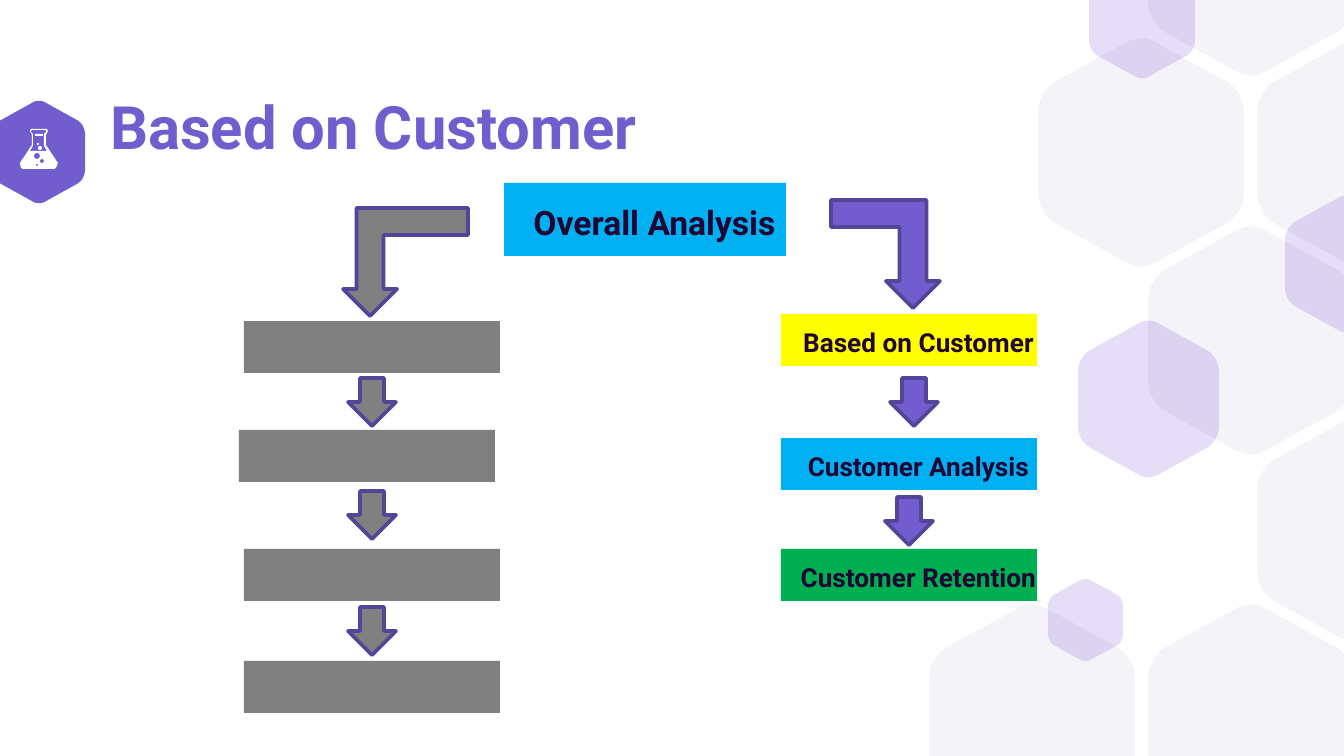
from math import cos, pi, sin

from lxml.etree import SubElement
from pptx import Presentation
from pptx.dml.color import RGBColor
from pptx.enum.shapes import MSO_SHAPE
from pptx.enum.text import MSO_ANCHOR, MSO_AUTO_SIZE, PP_ALIGN
from pptx.oxml.ns import qn
from pptx.util import Pt

PX = 914400 / 134.4
W, H = 1344, 756
PURPLE = RGBColor(0x72, 0x5D, 0xCF)
OUTLINE = RGBColor(0x54, 0x45, 0x99)
VIOLET = RGBColor(0x53, 0x22, 0xC9)
PALE = RGBColor(0xF4, 0xF3, 0xF8)
INK = RGBColor(0x21, 0x06, 0x35)
GREY = RGBColor(0x80, 0x80, 0x80)
BLUE = RGBColor(0x00, 0xB0, 0xF0)
YELLOW = RGBColor(0xFF, 0xFF, 0x00)
GREEN = RGBColor(0x00, 0xB0, 0x50)
WHITE = RGBColor(0xFF, 0xFF, 0xFF)

prs = Presentation()
prs.slide_width, prs.slide_height = round(W * PX), round(H * PX)
s = prs.slides.add_slide(prs.slide_layouts[5])


def add_outline(contours, fill):
    fb = None
    for contour in contours:
        pts = [(round(x * PX), round(y * PX)) for x, y in contour]
        if fb is None:
            fb = s.shapes.build_freeform(*pts[0])
        else:
            fb.move_to(*pts[0])
        fb.add_line_segments(pts[1:], close=True)
    sp = fb.convert_to_shape()
    sp.shadow.inherit = False
    sp.fill.solid()
    sp.fill.fore_color.rgb = fill
    sp.line.fill.background()
    return sp


def write(tf, text, size, color, align, spacing):
    for name, value in {"margin_left": 0, "margin_top": 0, "margin_right": 0,
                        "margin_bottom": 0, "word_wrap": True,
                        "auto_size": MSO_AUTO_SIZE.NONE,
                        "vertical_anchor": MSO_ANCHOR.MIDDLE}.items():
        setattr(tf, name, value)
    p = tf.paragraphs[0]
    p.alignment, p.line_spacing = align, spacing
    r = p.add_run()
    r.text = text
    for name, value in {"name": "Roboto", "size": Pt(size), "bold": True}.items():
        setattr(r.font, name, value)
    r.font.color.rgb = color
    return p


corners = [
    [(1, 0.33), (1, 0.27), (0.97, 0.22), (0.92, 0.19)],
    [(0.58, 0.02), (0.53, -0.01), (0.47, -0.01), (0.42, 0.02)],
    [(0.08, 0.19), (0.03, 0.22), (0, 0.27), (0, 0.33)],
]
corners += [[(1 - x, 1 - y) for x, y in corner] for corner in corners]
hexagon = []
for a, b, c, d in corners:
    for i in range(9):
        t = i / 8
        u = 1 - t
        hexagon.append(tuple(u**3 * a[k] + 3 * u * u * t * b[k] + 3 * u * t * t * c[k]
                             + t**3 * d[k] for k in (0, 1)))

pale_spots = [(929, 605), (1148, 605), (1257, 39), (1148, -152),
              (1148, 227), (1038, 39), (1257, 417)]
hexagons = [(-7, 101, 92, 102, PURPLE, 100)]
hexagons += [(x, y, 206, 227, PALE, 100) for x, y in pale_spots]
hexagons += [(x, y, w, h, VIOLET, 15) for x, y, w, h in [
    (1285, 196, 123, 136), (1048, 579, 75, 82),
    (1089, -39, 106, 117), (1078, 321, 141, 156)]]
for x, y, w, h, fill, opacity in hexagons:
    pts = [(x + w * u, min(max(y + h * v, 0), H)) for u, v in hexagon]
    sp = add_outline([pts], fill)
    if opacity < 100:
        clr = sp.fill._xPr.find(qn("a:solidFill"))[0]
        SubElement(clr, qn("a:alpha")).set("val", str(opacity * 1000))

flask = [
    [(31, 129), (47, 129), (48, 131), (46, 135), (46, 145), (58, 163), (56, 168),
     (54, 169), (23, 169), (21, 168), (20, 163), (32, 145), (32, 135), (30, 131)],
    [(32, 130), (46, 130), (46, 132), (44, 134), (44, 146), (47, 151),
     (30, 151), (33, 146), (33, 134), (31, 132)],
    [(35, 134), (43, 134), (43, 136), (35, 136)],
]
for x, y, radius in [(37, 156, 3), (42, 161, 2), (37, 165, 1), (40, 148, 2), (38, 144, 1)]:
    flask.append([(x + radius * cos(k * pi / 8), y + radius * sin(k * pi / 8))
                  for k in range(16)])
add_outline(flask, WHITE)

title = s.shapes.title
for name, value in {"left": 110, "top": 101, "width": 883, "height": 58}.items():
    setattr(title, name, round(value * PX))
write(title.text_frame, "Based on Customer", 32, PURPLE, PP_ALIGN.LEFT, 0.9)

boxes = [
    (504, 183, 282, 73, BLUE, "Overall Analysis", 18),
    (244, 321, 256, 52, GREY, "", 14),
    (239, 430, 256, 52, GREY, "", 14),
    (244, 549, 256, 52, GREY, "", 14),
    (244, 661, 256, 52, GREY, "", 14),
    (781, 314, 256, 52, YELLOW, "Based on Customer", 14),
    (781, 438, 256, 52, BLUE, "Customer Analysis", 14),
    (781, 549, 256, 52, GREEN, "Customer Retention", 14),
]
for x, y, w, h, fill, text, size in boxes:
    sp = s.shapes.add_shape(MSO_SHAPE.RECTANGLE, *(round(v * PX) for v in (x, y, w, h)))
    sp.shadow.inherit = False
    sp.fill.solid()
    sp.fill.fore_color.rgb = fill
    sp.line.fill.background()
    if text:
        p = write(sp.text_frame, text, size, INK, PP_ALIGN.CENTER, 1.15)
        pPr = p._p.get_or_add_pPr()
        pPr.set("marL", str(round(19 * PX)))
        pPr.set("indent", "0")

DOWN, BENT = MSO_SHAPE.DOWN_ARROW, MSO_SHAPE.BENT_UP_ARROW
arrows = [(DOWN, 348, y, 48, 48, GREY, False) for y in (378, 491, 607)]
arrows += [
    (DOWN, 890, 378, 48, 48, PURPLE, False),
    (DOWN, 885, 497, 48, 48, PURPLE, False),
    (BENT, 343, 208, 125, 108, GREY, False),
    (BENT, 831, 200, 109, 108, PURPLE, True),
]
for kind, x, y, w, h, fill, flipped in arrows:
    sp = s.shapes.add_shape(kind, *(round(v * PX) for v in (x, y, w, h)))
    sp.shadow.inherit = False
    sp.fill.solid()
    sp.fill.fore_color.rgb = fill
    sp.line.color.rgb = OUTLINE
    sp.line.width = Pt(2)
    if kind == BENT:
        sp.rotation = 180
    if flipped:
        sp._element.spPr.find(qn("a:xfrm")).set("flipH", "1")

prs.save("out.pptx")
